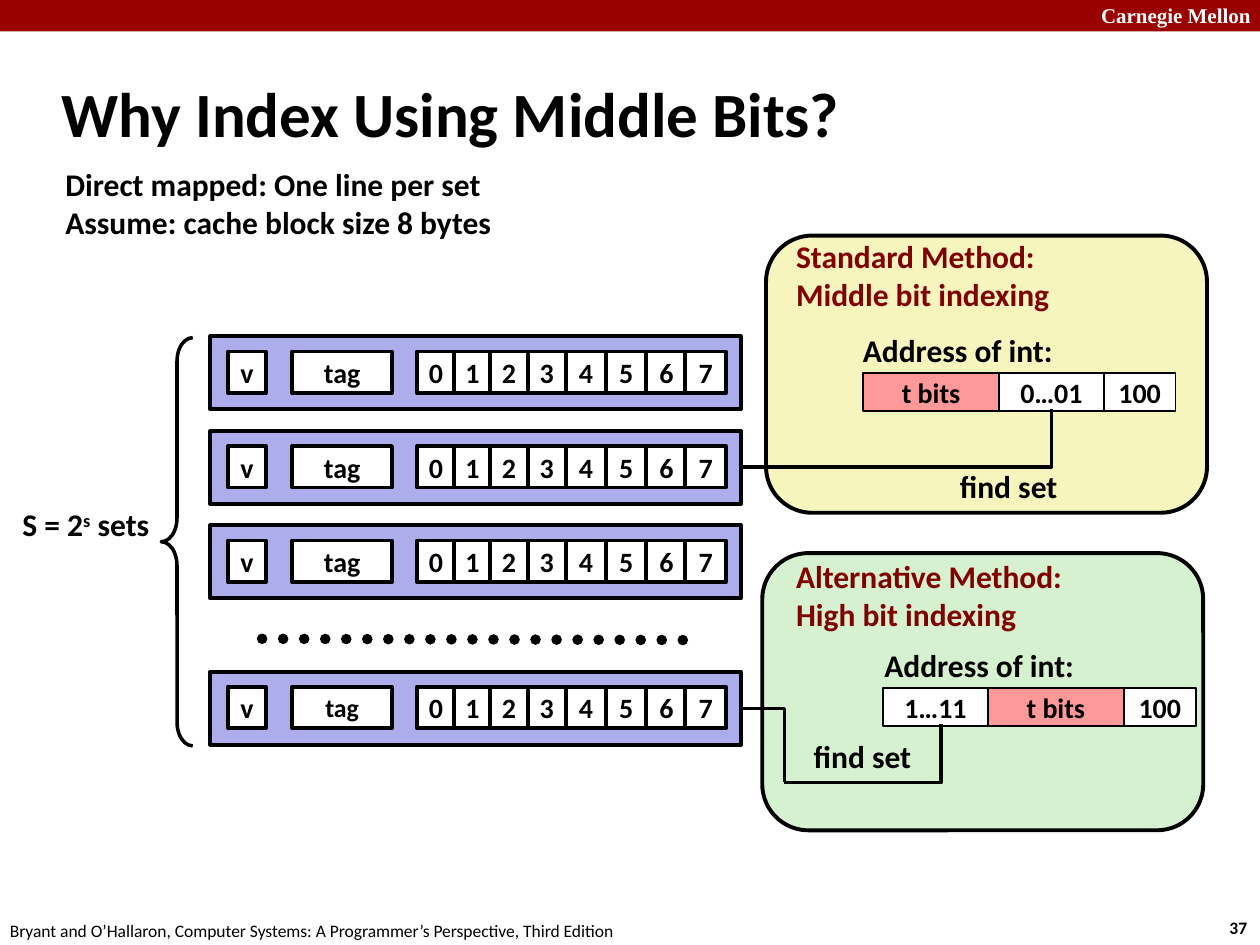
from dataclasses import dataclass

from lxml.etree import SubElement
from pptx import Presentation
from pptx.dml.color import RGBColor
from pptx.enum.dml import MSO_LINE
from pptx.enum.shapes import MSO_CONNECTOR as Connector, MSO_SHAPE as Shape
from pptx.enum.text import MSO_ANCHOR as Anchor, PP_ALIGN as Align
from pptx.oxml.ns import qn
from pptx.util import Inches, Pt


@dataclass(frozen=True)
class Theme:
    font: str = "Calibri"
    banner_font: str = "Times New Roman"
    black: str = "000000"
    white: str = "FFFFFF"
    banner: str = "990000"
    heading: str = "800000"
    cache_line: str = "ADADEB"
    tag_bits: str = "FF9999"
    standard: str = "F6F5BD"
    alternative: str = "D5F1CF"
    title_size: float = 36
    label_size: float = 18
    cell_size: float = 16
    tight_cell_size: float = 14.8
    banner_size: float = 12
    footer_size: float = 10
    thick: float = 2.25
    medium: float = 2
    thin: float = 1
    dots: float = 6


THEME = Theme()
BYTE_LEFTS = (3.31, 3.6, 3.89, 4.19, 4.49, 4.81, 5.13, 5.44)
CACHE_LINE_TOPS = (2.67, 3.42, 4.17, 5.33)


class SlideBuilder:
    def __init__(self, slide, theme):
        self.slide = slide
        self.theme = theme
        self.shapes = slide.shapes

    def start_group(self):
        """Send the following elements to a new group."""
        self.shapes = self.slide.shapes.add_group_shape().shapes

    def format_text(self, text_frame, size, color=None, bold=True, font=None):
        for paragraph in text_frame.paragraphs:
            for run in paragraph.runs:
                run.font.name = font or self.theme.font
                run.font.size = Pt(size)
                run.font.bold = bold
                run.font.color.rgb = RGBColor.from_string(color or self.theme.black)

    def text(self, left, top, width, height, text, size=None, wrap=False,
             anchor=Anchor.TOP, **style):
        box = self.shapes.add_textbox(*map(Inches, (left, top, width, height)))
        text_frame = box.text_frame
        text_frame.word_wrap = wrap
        text_frame.vertical_anchor = anchor
        text_frame.text = text
        self.format_text(text_frame, size or self.theme.label_size, **style)
        return text_frame

    def shape(self, kind, left, top, width, height, fill=None, line_width=None):
        shape = self.shapes.add_shape(kind, *map(Inches, (left, top, width, height)))
        shape.shadow.inherit = False
        if fill:
            shape.fill.solid()
            shape.fill.fore_color.rgb = RGBColor.from_string(fill)
        else:
            shape.fill.background()
        if line_width:
            shape.line.color.rgb = RGBColor.from_string(self.theme.black)
            shape.line.width = Pt(line_width)
        else:
            shape.line.fill.background()
        return shape

    def cell(self, left, top, width, height, text, fill=None, line_width=None,
             size=None, wrap=False):
        shape = self.shape(Shape.RECTANGLE, left, top, width, height,
                           fill or self.theme.white, line_width or self.theme.thick)
        text_frame = shape.text_frame
        text_frame.word_wrap = wrap
        text_frame.vertical_anchor = Anchor.MIDDLE
        text_frame.text = text
        text_frame.paragraphs[0].alignment = Align.CENTER
        self.format_text(text_frame, size or self.theme.cell_size)

    def connector(self, kind, start, end, line_width):
        connector = self.shapes.add_connector(kind, *map(Inches, start + end))
        connector.line.color.rgb = RGBColor.from_string(self.theme.black)
        connector.line.width = Pt(line_width)
        SubElement(connector._element.spPr, qn("a:effectLst"))
        return connector

    def dotted_line(self, start, end):
        connector = self.connector(Connector.STRAIGHT, start, end, self.theme.dots)
        connector.line.dash_style = MSO_LINE.ROUND_DOT
        connector._element.spPr.find(qn("a:ln")).set("cap", "rnd")

    def corner(self, start, end, rotation):
        """Draw a one-bend connector; start and end are given before rotation."""
        connector = self.connector(Connector.ELBOW, start, end, self.theme.medium)
        properties = connector._element.spPr
        properties.find(qn("a:prstGeom")).set("prst", "bentConnector2")
        properties.find(qn("a:xfrm")).set("rot", str(rotation * 60000))

    def early_elbow(self, start, end):
        """Draw an elbow whose bend lies at its start."""
        connector = self.connector(Connector.ELBOW, start, end, self.theme.medium)
        guides = connector._element.spPr.find(qn("a:prstGeom")).get_or_add_avLst()
        SubElement(guides, qn("a:gd"), name="adj1", fmla="val 0")

    def cache_line(self, top, tag_size=None):
        self.shape(Shape.RECTANGLE, 1.67, top, 4.21, 0.58,
                   self.theme.cache_line, self.theme.thick)
        cell_top, height = top + 0.12, 0.33
        self.cell(1.81, cell_top, 0.3, height, "v")
        self.cell(2.32, cell_top, 0.79, height, "tag", size=tag_size)
        for index, left in enumerate(BYTE_LEFTS):
            width = 0.3 if index < 4 else 0.32
            self.cell(left, cell_top, width, height, str(index))

    def method_panel(self, left, top, fill, heading, heading_top):
        self.start_group()
        self.shape(Shape.ROUNDED_RECTANGLE, left, top, 3.5, 2.2, fill, self.theme.thick)
        self.text(6.22, heading_top, 3.33, 0.71, heading, wrap=True,
                  color=self.theme.heading)

    def address(self, left, top, fields):
        """Draw a row of address fields, each a (text, width, fill) triple."""
        for text, width, fill in fields:
            self.cell(left, top, width, 0.3, text, fill, self.theme.thin, wrap=True)
            left += width


def main():
    presentation = Presentation()
    presentation.slide_width = Inches(10)
    presentation.slide_height = Inches(7.5)
    slide = presentation.slides.add_slide(presentation.slide_layouts[6])
    theme = THEME
    builder = SlideBuilder(slide, theme)

    builder.shape(Shape.RECTANGLE, 0, 0, 10, 0.25, theme.banner)
    builder.text(8.64, -0.03, 1.43, 0.3, "Carnegie Mellon", theme.banner_size,
                 wrap=True, color=theme.white, font=theme.banner_font)
    builder.text(9.66, 7.23, 0.37, 0.27, "37", theme.footer_size)
    builder.text(-0.02, 7.25, 5.08, 0.27,
                 "Bryant and O’Hallaron, Computer Systems: "
                 "A Programmer’s Perspective, Third Edition",
                 theme.footer_size, bold=False)
    builder.text(0.39, 0.48, 8.3, 0.83, "Why Index Using Middle Bits?",
                 theme.title_size, wrap=True, anchor=Anchor.MIDDLE)
    builder.text(0.42, 1.26, 3.61, 0.71,
                 "Direct mapped: One line per set\nAssume: cache block size 8 bytes")

    brace = builder.shape(Shape.LEFT_BRACE, 1.28, 2.68, 0.25, 3.24,
                          line_width=theme.medium)
    brace.adjustments[0] = 0.75
    set_count = builder.text(0.08, 3.96, 1.23, 0.4, "S = 2")
    exponent, unit = (set_count.paragraphs[0].add_run() for _ in range(2))
    exponent.text, unit.text = "s", " sets"
    builder.format_text(set_count, theme.label_size)
    exponent._r.get_or_add_rPr().set("baseline", "30000")

    for top in CACHE_LINE_TOPS[:-1]:
        builder.cache_line(top)
    builder.dotted_line((2.08, 5.07), (5.5, 5.08))
    builder.cache_line(CACHE_LINE_TOPS[-1], theme.tight_cell_size)

    tag_field = ("t bits", 1.08, theme.tag_bits)
    offset_field = ("100", 0.57, theme.white)

    builder.method_panel(6.08, 1.87, theme.standard,
                         "Standard Method:\nMiddle bit indexing", 1.83)
    builder.address(6.85, 2.96, (tag_field, ("0…01", 0.83, theme.white), offset_field))
    builder.text(6.75, 2.58, 1.72, 0.4, "Address of int:")
    builder.corner((6.88, 2.24), (7.34, 4.71), 90)
    builder.text(7.52, 3.66, 0.98, 0.4, "find set")

    builder.method_panel(6.05, 4.39, theme.alternative,
                         "Alternative Method:\nHigh bit indexing", 4.37)
    builder.address(7.01, 5.46, (("1…11", 0.83, theme.white), tag_field, offset_field))
    builder.text(6.92, 5.08, 1.72, 0.4, "Address of int:")
    builder.text(6.36, 5.8, 0.98, 0.4, "find set")
    builder.early_elbow((7.47, 5.75), (6.22, 6.21))
    builder.corner((5.76, 6.09), (6.34, 5.74), 270)

    presentation.save("out.pptx")


if __name__ == "__main__":
    main()
